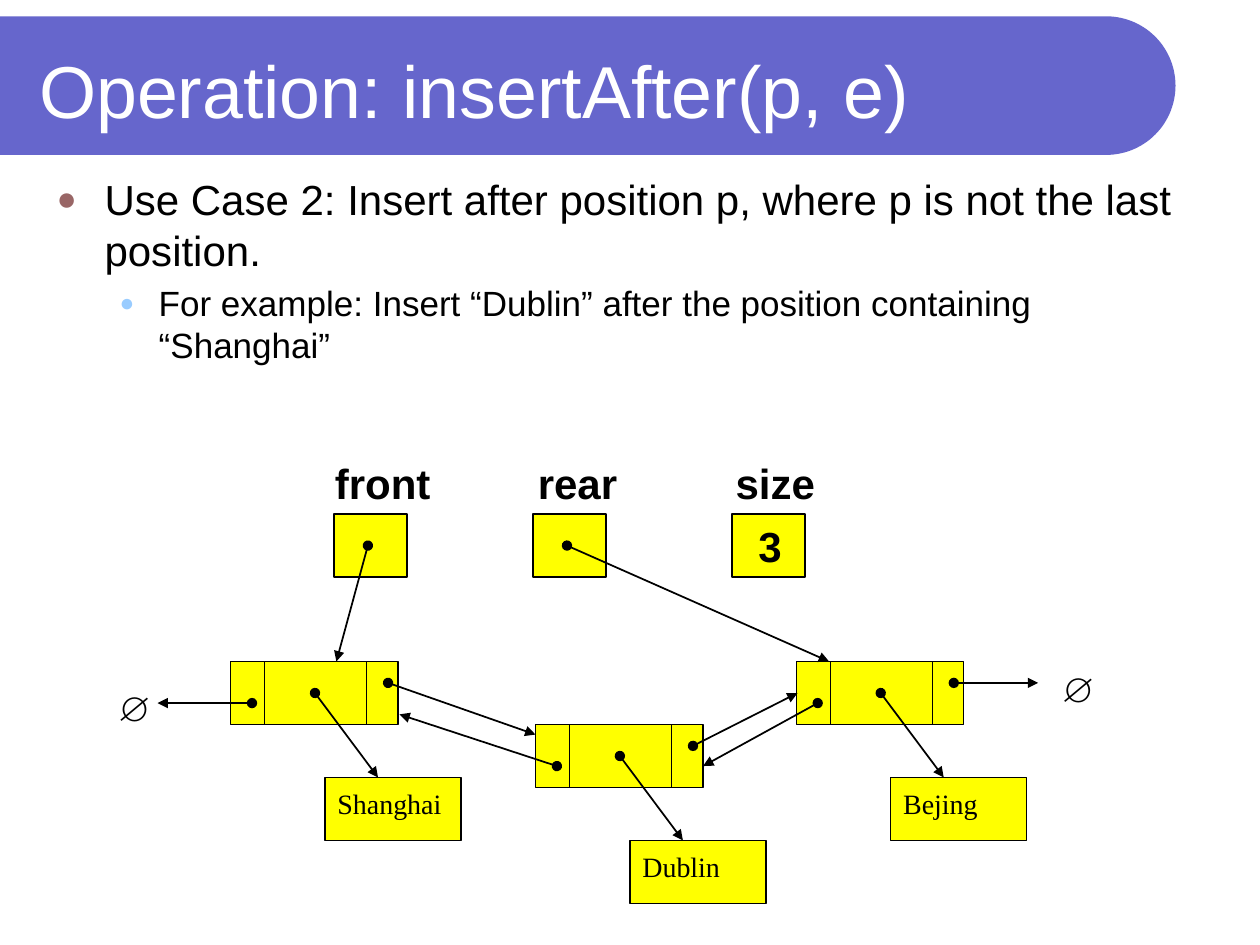
from dataclasses import dataclass
from math import cos, radians, sin

from lxml.etree import SubElement
from pptx import Presentation
from pptx.dml.color import RGBColor
from pptx.enum.shapes import MSO_CONNECTOR, MSO_SHAPE
from pptx.enum.text import MSO_ANCHOR, MSO_AUTO_SIZE, PP_ALIGN
from pptx.oxml.ns import qn
from pptx.util import Inches, Pt


@dataclass(frozen=True)
class Theme:
    banner: str = "6666CC"
    white: str = "FFFFFF"
    black: str = "000000"
    box: str = "FFFF00"
    bullets: tuple = ("996666", "99CCFF")
    sans: str = "Arial"
    serif: str = "Times New Roman"
    title: int = 42
    body: int = 24
    sub: int = 20
    data: int = 16
    thin: float = 0.75
    arrow: float = 1


T = Theme()


def add_text(tf, text, size=T.body, font=T.sans, color=T.black, bold=False,
             anchor=MSO_ANCHOR.TOP, wrap=True, new=False, level=0,
             before=0, spacing=1.0, bullet=None):
    tf.word_wrap = wrap
    tf.auto_size = MSO_AUTO_SIZE.NONE
    tf.vertical_anchor = anchor
    p = tf.add_paragraph() if new else tf.paragraphs[0]
    p.level = level
    p.alignment = PP_ALIGN.LEFT
    p.space_before = Pt(before)
    p.line_spacing = spacing
    if bullet:
        color_hex, percent, margin, indent = bullet
        pPr = p._p.get_or_add_pPr()
        pPr.set("marL", str(Inches(margin)))
        pPr.set("indent", str(Inches(indent)))
        SubElement(SubElement(pPr, qn("a:buClr")), qn("a:srgbClr"), val=color_hex)
        SubElement(pPr, qn("a:buSzPct"), val=str(percent * 1000))
        SubElement(pPr, qn("a:buFont"), typeface=T.sans)
        SubElement(pPr, qn("a:buChar"), char="●")
    r = p.add_run()
    r.text = text
    r.font.size = Pt(size)
    r.font.name = font
    r.font.bold = bold
    r.font.color.rgb = RGBColor.from_string(color)


def add_line(x1, y1, x2, y2, arrow=True):
    c = s.shapes.add_connector(MSO_CONNECTOR.STRAIGHT, Inches(x1), Inches(y1), Inches(x2), Inches(y2))
    c.line.color.rgb = RGBColor.from_string(T.black)
    c.line.width = Pt(T.arrow if arrow else T.thin)
    if arrow:
        ln = c.line._get_or_add_ln()
        SubElement(ln, qn("a:headEnd"), type="oval")
        SubElement(ln, qn("a:tailEnd"), type="triangle")
    SubElement(c._element.spPr, qn("a:effectLst"))


prs = Presentation()
prs.slide_width, prs.slide_height = Inches(10), Inches(7.5)
s = prs.slides.add_slide(prs.slide_layouts[1])

radius, cx, cy = 0.55, 8.78, 0.68
arc = [(cx + radius * cos(radians(a)), cy + radius * sin(radians(a))) for a in range(-90, 91, 3)]
fb = s.shapes.build_freeform(0, Inches(cy - radius), scale=1.0)
fb.add_line_segments([(Inches(x), Inches(y)) for x, y in arc + [(0, cy + radius)]], close=True)
banner = fb.convert_to_shape()
banner.shadow.inherit = False
banner.fill.solid()
banner.fill.fore_color.rgb = RGBColor.from_string(T.banner)
banner.line.fill.background()
s.shapes._spTree.insert(2, banner._element)

title, body = s.shapes.title, s.placeholders[1]
for sp, box in ((title, (0.21, 0.21, 8.77, 1)), (body, (0.35, 1.33, 9.29, 5.75))):
    sp.left, sp.top, sp.width, sp.height = map(Inches, box)
add_text(title.text_frame, "Operation: insertAfter(p, e)", size=T.title, color=T.white,
         anchor=MSO_ANCHOR.MIDDLE)
add_text(body.text_frame, "Use Case 2: Insert after position p, where p is not the last position.",
         bullet=(T.bullets[0], 80, 0.38, -0.38))
add_text(body.text_frame, "For example: Insert “Dublin” after the position containing “Shanghai”",
         size=T.sub, new=True, level=1, before=4, bullet=(T.bullets[1], 70, 0.81, -0.31))

fields = [(2.65, 4.08, 0.58), (4.23, 4.08, 0.58), (5.81, 4.08, 0.58)]
nodes = [(1.83, 5.25, "Shanghai"), (4.25, 5.75, "Dublin"), (6.32, 5.25, "Bejing")]
boxes = [(x, y, w, None) for x, y, w in fields]
for x, y, name in nodes:
    boxes += [(x, y, 1.33, None), (x + 0.75, y + 0.92, 1.08, name)]

for x, y, w, name in boxes:
    sp = s.shapes.add_shape(MSO_SHAPE.RECTANGLE, Inches(x), Inches(y), Inches(w), Inches(0.5))
    sp.shadow.inherit = False
    sp.fill.solid()
    sp.fill.fore_color.rgb = RGBColor.from_string(T.box)
    sp.line.color.rgb = RGBColor.from_string(T.black)
    sp.line.width = Pt(T.thin)
    if name:
        add_text(sp.text_frame, name, size=T.data, font=T.serif, anchor=MSO_ANCHOR.MIDDLE,
                 spacing=0.6)

for x, y, name in nodes:
    for dx in (0.27, 1.08):
        add_line(x + dx, y, x + dx, y + 0.5, arrow=False)
    add_line(x + 0.67, y + 0.25, x + 1.17, y + 0.92)

for link in (
    (2.92, 4.33, 2.67, 5.25),
    (4.5, 4.33, 6.58, 5.25),
    (2, 5.58, 1.25, 5.58),
    (3.08, 5.42, 4.25, 5.83),
    (4.42, 6.08, 3.17, 5.67),
    (5.5, 5.92, 6.33, 5.5),
    (6.49, 5.58, 5.58, 6.08),
    (7.57, 5.42, 8.24, 5.42),
):
    add_line(*link)

label = dict(bold=True)
null = dict(size=T.sub, font=T.serif)
for text, x, y, w, h, style in (
    ("front", 2.56, 3.58, 0.97, 0.5, label),
    ("rear", 4.17, 3.58, 0.84, 0.5, label),
    ("size", 5.74, 3.58, 0.9, 0.5, label),
    ("3", 5.92, 4.08, 0.58, 0.5, label),
    ("∅", 0.83, 5.4, 0.43, 0.43, null),
    ("∅", 8.32, 5.25, 0.43, 0.43, null),
):
    sp = s.shapes.add_textbox(Inches(x), Inches(y), Inches(w), Inches(h))
    add_text(sp.text_frame, text, wrap=False, **style)

prs.save("out.pptx")
